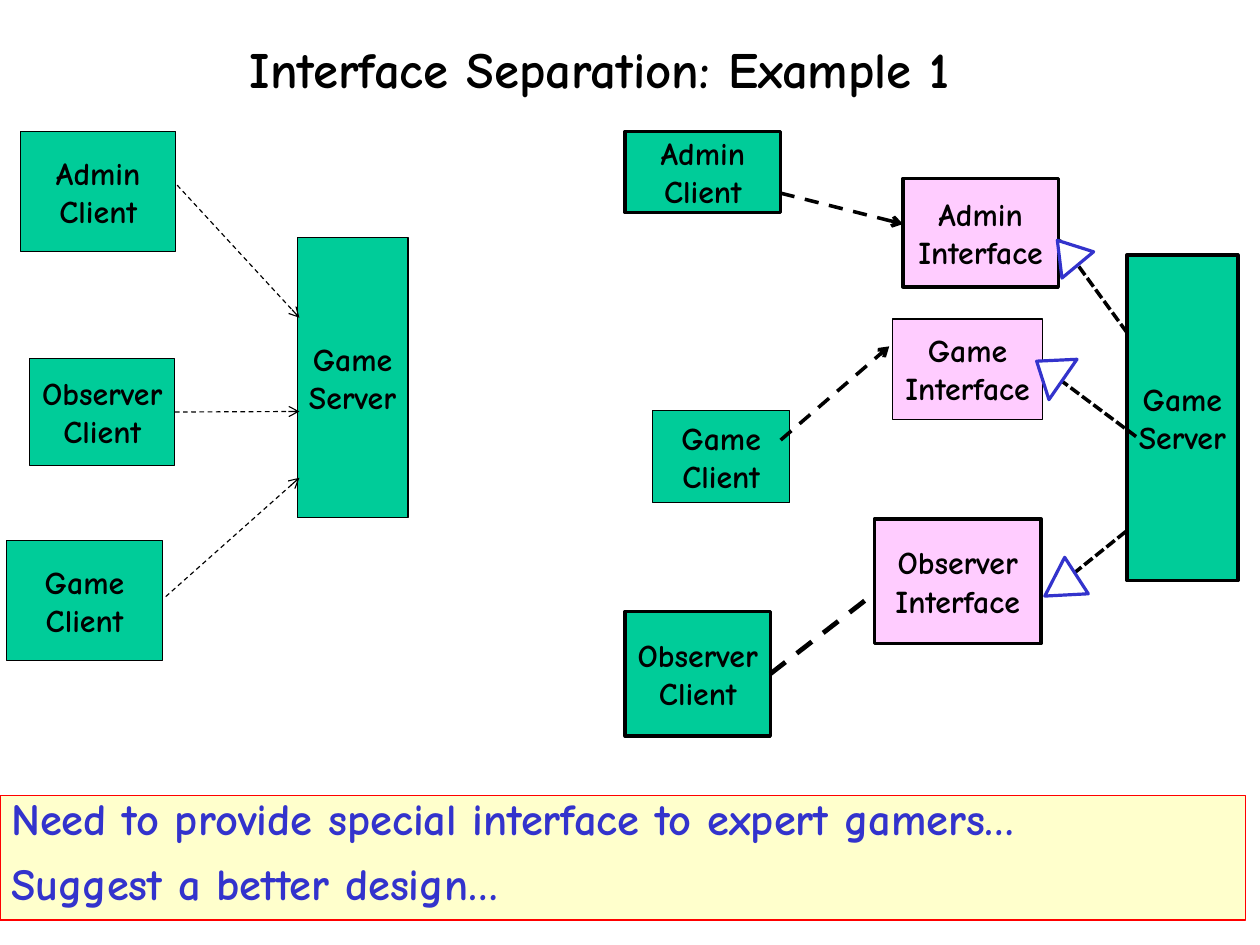
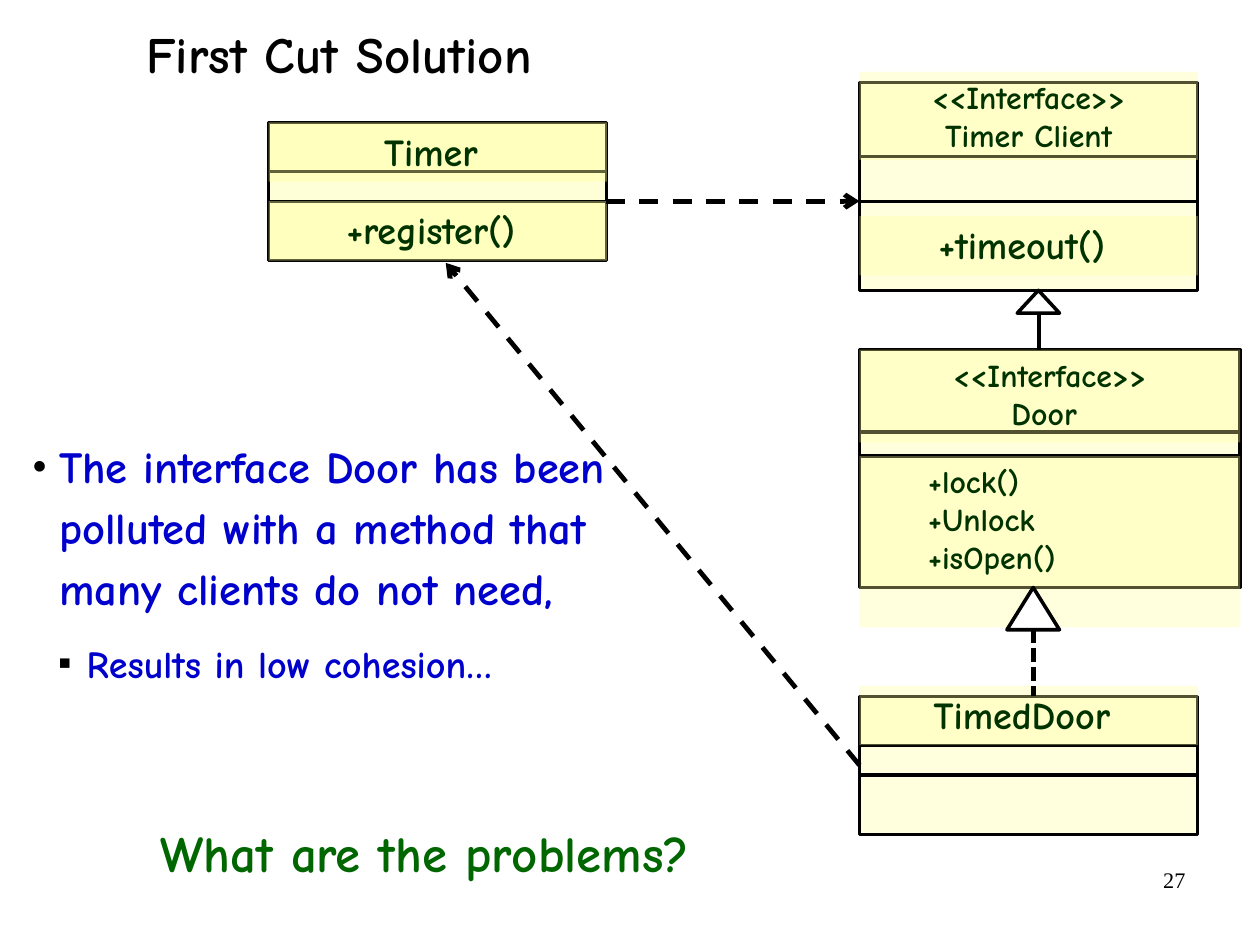
import pptx
import pptx.util
import pptx.dml.color
import pptx.enum.dml
import pptx.enum.shapes
import pptx.enum.text
import pptx.oxml
import pptx.oxml.ns
from lxml import etree

Inches = pptx.util.Inches
Pt = pptx.util.Pt
qn = pptx.oxml.ns.qn
ALIGN = pptx.enum.text.PP_ALIGN
ANCHOR = pptx.enum.text.MSO_ANCHOR
KIND = pptx.enum.shapes.MSO_SHAPE
DASH = pptx.enum.dml.MSO_LINE.DASH
DOT = pptx.enum.dml.MSO_LINE.SQUARE_DOT

INK = {
    "black": "000000", "white": "FFFFFF", "green": "00CC99", "pink": "FFCCFF",
    "cream": "FFFFCC", "red": "FF0000", "blue": "3333CC", "royal": "0000CC",
    "leaf": "006600", "pine": "003300", "lemon": "FFFF99",
}
FONT = "Comic Neue"
SERIF = "Times New Roman"
CENTER = {"alignment": ALIGN.CENTER}
TIGHT = {"line_spacing": 0.8}
RIGHT = 3
LEFT = 1


def rgb(name):
    return pptx.dml.color.RGBColor.from_string(INK[name])


def put(item, form):
    """Set each attribute named in form on item."""
    for key, value in form.items():
        setattr(item, key, value)


def span(box):
    return [Inches(round(v, 2)) for v in box]


def shift(box, origin):
    """Move a point or box, given relative to origin, to slide inches."""
    return (box[0] + origin[0], box[1] + origin[1], *box[2:])


def write(frame, lines, size, ink, para=None, **form):
    """Fill a text frame, one paragraph a line."""
    put(frame, {"word_wrap": True, "auto_size": pptx.enum.text.MSO_AUTO_SIZE.NONE,
                "vertical_anchor": ANCHOR.TOP, **form})
    for i, line in enumerate(lines):
        par = frame.add_paragraph() if i else frame.paragraphs[0]
        put(par, {"alignment": ALIGN.LEFT, **(para or {})})
        run = par.add_run()
        run.text = line
        put(run.font, {"name": FONT, "size": Pt(size), "bold": True})
        run.font.color.rgb = rgb(ink)


def note(slide, box, lines, size, ink, para=None, **form):
    area = slide.shapes.add_textbox(*span(box))
    write(area.text_frame, lines, size, ink, para, **form)
    return area.text_frame


def shape(slide, box, fill, edge=None, width=0.75, kind=KIND.RECTANGLE,
          turn=0, alpha=None):
    item = slide.shapes.add_shape(kind, *span(box))
    item.shadow.inherit = False
    item.rotation = turn
    item.fill.solid()
    item.fill.fore_color.rgb = rgb(fill)
    if alpha:
        color = item._element.spPr.find(qn("a:solidFill")).find(qn("a:srgbClr"))
        etree.SubElement(color, qn("a:alpha"), val=str(alpha * 1000))
    if edge:
        item.line.color.rgb = rgb(edge)
        item.line.width = Pt(width)
    else:
        item.line.fill.background()
    return item


def link(slide, start, end, width, dash=None, arrow=False):
    """Draw a line; start may be a shape, joined at a side: (shape, side)."""
    glue = not isinstance(start[0], (int, float))
    first = end if glue else start
    line = slide.shapes.add_connector(
        pptx.enum.shapes.MSO_CONNECTOR.STRAIGHT, *span(first), *span(end))
    if glue:
        line.begin_connect(*start)
    line.line.color.rgb = rgb("black")
    put(line.line, {"width": Pt(width), "dash_style": dash})
    if arrow:
        etree.SubElement(line.line._get_or_add_ln(), qn("a:tailEnd"), type="arrow")
    etree.SubElement(line._element.spPr, qn("a:effectLst"))


def bullet(par, mark, left, hang):
    props = par._p.get_or_add_pPr()
    props.set("marL", str(Inches(left)))
    props.set("indent", str(-Inches(hang)))
    color = etree.SubElement(props, qn("a:buClr"))
    etree.SubElement(color, qn("a:srgbClr"), val=INK["black"])
    etree.SubElement(props, qn("a:buFont"), typeface=SERIF)
    etree.SubElement(props, qn("a:buChar"), char=mark)


def page(deck, title, box, para):
    slide = deck.slides.add_slide(deck.slide_layouts[5])
    head = slide.shapes.title
    put(head, dict(zip(("left", "top", "width", "height"), span(box))))
    write(head.text_frame, [title], 32, "black", para)
    return slide


def node(slide, box, label, fill, width):
    item = shape(slide, box, fill, "black", width)
    write(item.text_frame, label.split(), 20, "black", CENTER,
          word_wrap=False, vertical_anchor=ANCHOR.MIDDLE)
    return item


def nodes(slide, origin, rows, fill):
    return {label: node(slide, shift(box, origin), label, fill, width)
            for label, box, width in rows}


def links(slide, origin, rows, **form):
    for start, end, width in rows:
        if isinstance(start[0], (int, float)):
            start = shift(start, origin)
        link(slide, start, shift(end, origin), width, **form)


def shared(slide, origin):
    """Clients that all depend on the server itself."""
    made = nodes(slide, origin, [
        ("Admin Client", (0.12, 0, 1.36, 1.05), 0.75),
        ("Game Client", (0, 3.58, 1.36, 1.05), 0.75),
        ("Observer Client", (0.2, 1.99, 1.27, 0.93), 0.75),
        ("Game Server", (2.54, 0.93, 0.97, 2.45), 0.75),
    ], "green")
    links(slide, origin, [
        ((1.39, 4.07), (2.56, 3.03), 0.75),
        ((made["Observer Client"], RIGHT), (2.56, 2.45), 0.75),
        ((1.49, 0.47), (2.56, 1.63), 0.75),
    ], dash=DASH, arrow=True)


def split(slide, origin):
    """Clients that each depend on an interface of their own."""
    made = nodes(slide, origin, [
        ("Admin Client", (0, 0, 1.36, 0.71), 2.25),
        ("Observer Client", (0, 4.2, 1.27, 1.09), 2.25),
        ("Game Client", (0.24, 2.44, 1.2, 0.81), 0.75),
        ("Game Server", (4.39, 1.08, 0.97, 2.85), 2.25),
    ], "green")
    links(slide, origin, [
        ((made["Observer Client"], RIGHT), (2.31, 3.94), 3),
        ((1.36, 0.54), (2.43, 0.81), 2.25),
        ((1.36, 2.7), (2.31, 1.88), 2.25),
    ], dash=DASH, arrow=True)
    nodes(slide, origin, [
        ("Admin Interface", (2.43, 0.41, 1.36, 0.95), 2.25),
        ("Observer Interface", (2.18, 3.39, 1.46, 1.09), 2.25),
        ("Game Interface", (2.34, 1.64, 1.31, 0.88), 0.75),
    ], "pink")
    links(slide, origin, [
        ((4.39, 1.76), (3.8, 0.95), 2.25),
        ((4.38, 3.5), (3.92, 3.87), 2.25),
        ((4.47, 2.67), (3.64, 2.05), 2.25),
    ], dash=DOT)
    for box, turn in [((3.69, 0.92, 0.36, 0.28), 320.3),
                      ((3.62, 3.81, 0.38, 0.33), 237.1),
                      ((3.5, 1.95, 0.43, 0.28), 304.8)]:
        shape(slide, shift(box, origin), "white", "blue", 2,
              KIND.ISOSCELES_TRIANGLE, turn)


def banner(slide, box):
    bar = shape(slide, box, "cream", "red")
    write(bar.text_frame, ["Need to provide special interface to expert gamers…",
                           "Suggest a better design…"],
          28, "blue", {**TIGHT, "space_before": Pt(14)})


def entity(slide, box, rules, parts, alpha):
    """Draw a class box; rules and parts are offsets from its top."""
    left, top, width, _ = box
    frame = shape(slide, box, "lemon", "black", 2, alpha=alpha)
    for drop in rules:
        link(slide, (left, top + drop), (left + width, top + drop), 2)
    for drop, high, size, lines, para, inset in parts:
        area = shape(slide, (left, top + drop, width, high), "lemon", alpha=alpha)
        write(area.text_frame, lines, size, "pine", para, margin_left=Inches(inset))
    return frame


def model(slide):
    """Class diagram of the timed door."""
    entity(slide, (2.35, 1.07, 2.96, 1.21), (0.43, 0.69), [
        (0, 0.52, 24, ["Timer "], CENTER, 0.1),
        (0.69, 0.52, 24, ["+register() "], CENTER, 0.1)], 39)
    entity(slide, (7.52, 0.72, 2.96, 1.82), (0.65, 1.04), [
        (-0.09, 0.77, 20, ["<<Interface>>", "Timer Client"], CENTER, 0.1),
        (1.17, 0.52, 24, ["+timeout() "], CENTER, 0.1)], 32)
    entity(slide, (7.52, 3.06, 3.33, 2.08), (0.72, 0.93), [
        (0, 0.81, 20, ["<<Interface>>", "Door "], CENTER, 0.1),
        (0.93, 1.5, 20, ["+lock()", "+Unlock", "+isOpen()"], None, 0.6)], 32)
    timed = entity(slide, (7.52, 6.09, 2.96, 1.21), (0.43, 0.69), [
        (-0.09, 0.52, 24, ["TimedDoor "], CENTER, 0.1)], 32)
    for box in [(8.81, 5.14, 0.46, 0.37), (8.9, 2.54, 0.37, 0.2)]:
        shape(slide, box, "white", "black", 2.25, KIND.ISOSCELES_TRIANGLE)
    link(slide, (9.04, 5.5), (9.04, 6.09), 3, DOT)
    link(slide, (9.09, 2.74), (9.09, 3.06), 3)
    link(slide, (5.3, 1.76), (7.52, 1.76), 3, DASH, True)
    link(slide, (timed, LEFT), (3.9, 2.3), 3, DASH, True)


def points(slide, box):
    frame = note(slide, box, [
        "The interface Door has been polluted with a method that many clients "
        "do not need,", "Results in low cohesion…"], 28, "royal",
        {"line_spacing": 1.14, "space_before": Pt(6), "space_after": Pt(6)})
    main, sub = frame.paragraphs
    sub.level = 1
    sub.runs[0].font.size = Pt(24)
    bullet(main, "•", 0.24, 0.24)
    bullet(sub, "▪", 0.48, 0.25)


def number(slide, box, text):
    frame = note(slide, box, [text], 14, "black", {"alignment": ALIGN.RIGHT})
    put(frame.paragraphs[0].runs[0].font, {"name": SERIF, "bold": False})


def main():
    deck = pptx.Presentation()
    put(deck, {"slide_width": pptx.util.Cm(28), "slide_height": pptx.util.Cm(21)})

    games = page(deck, "Interface Separation: Example 1", (0, 0.35, 10.5, 0.7),
                 {**CENTER, "line_spacing": 0.88})
    shared(games, (0.06, 1.15))
    split(games, (5.47, 1.15))
    banner(games, (0, 6.96, 10.9, 1.09))

    door = page(deck, "First Cut Solution", (1.18, 0.25, 6, 0.54), TIGHT)
    points(door, (0.18, 3.73, 5.38, 2.85))
    model(door)
    note(door, (1.22, 7.16, 5, 0.6), ["What are the problems?"], 32, "leaf", CENTER,
         vertical_anchor=ANCHOR.MIDDLE)
    number(door, (7.9, 7.53, 2.57, 0.57), "27")
    deck.save("out.pptx")


if __name__ == "__main__":
    main()
